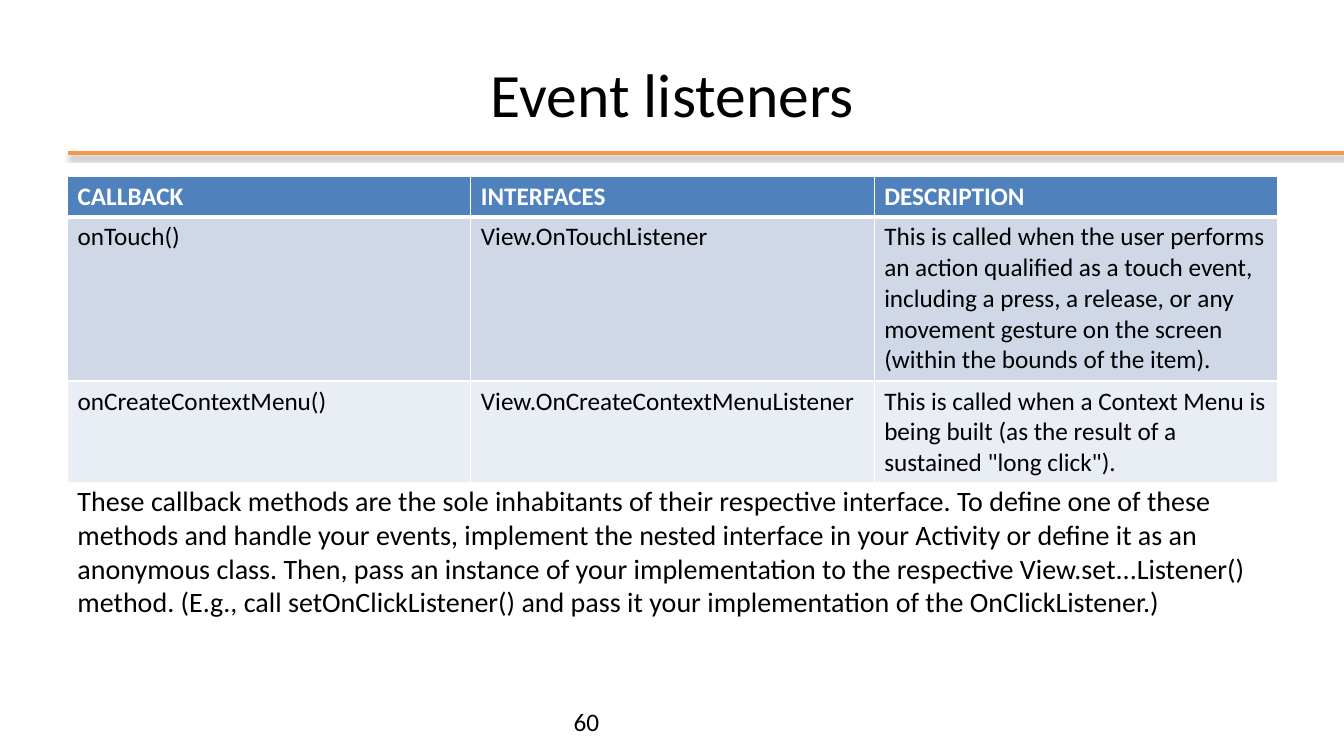
from lxml.etree import SubElement
from pptx import Presentation
from pptx.dml.color import RGBColor
from pptx.enum.shapes import MSO_CONNECTOR
from pptx.enum.text import MSO_ANCHOR, PP_ALIGN
from pptx.oxml import parse_xml
from pptx.oxml.ns import nsdecls, qn
from pptx.util import Emu, Pt

PX = 9144
ROWS = [
    ("CALLBACK", "INTERFACES", "DESCRIPTION"),
    ("onTouch()", "View.OnTouchListener",
     "This is called when the user performs an action qualified as a touch "
     "event, including a press, a release, or any movement gesture on the "
     "screen (within the bounds of the item)."),
    ("onCreateContextMenu()", "View.OnCreateContextMenuListener",
     "This is called when a Context Menu is being built (as the result of a "
     "sustained \"long click\")."),
]
NOTE = (
    "These callback methods are the sole inhabitants of their respective "
    "interface. To define one of these methods and handle your events, "
    "implement the nested interface in your Activity or define it as an "
    "anonymous class. Then, pass an instance of your implementation to the "
    "respective View.set...Listener() method. (E.g., call "
    "setOnClickListener() and pass it your implementation of the "
    "OnClickListener.)"
)


def color(code):
    return RGBColor.from_string(code)


def px(*sizes):
    return [Emu(size * PX) for size in sizes]


class Page:
    """Hold the style and the current slide, and add elements to it."""

    font = "Calibri"
    ink = "000000"
    paper = "FFFFFF"
    accent = "F79646"
    head = "4F81BD"
    bands = ("D0D8E8", "E9EDF4")

    def __init__(self, deck):
        self.slide = deck.slides.add_slide(deck.slide_layouts[6])
        fill = self.slide.background.fill
        fill.solid()
        fill.fore_color.rgb = color(self.paper)

    def put(self, frame, text, size, ink=ink, bold=False, align=PP_ALIGN.LEFT):
        frame.text = text
        for para in frame.paragraphs:
            para.alignment = align
            for run in para.runs:
                run.font.name = self.font
                run.font.size = Pt(size)
                run.font.bold = bold
                run.font.color.rgb = color(ink)

    def text(self, box, text, size, align=PP_ALIGN.LEFT, anchor=MSO_ANCHOR.TOP):
        frame = self.slide.shapes.add_textbox(*px(*box)).text_frame
        frame.word_wrap = True
        frame.vertical_anchor = anchor
        self.put(frame, text, size, align=align)

    def rule(self, left, right, top):
        line = self.slide.shapes.add_connector(
            MSO_CONNECTOR.STRAIGHT, *px(left, top, right, top))
        line.line.color.rgb = color(self.accent)
        line.line.width = Pt(3)
        line._element.spPr.append(parse_xml(
            f'<a:effectLst {nsdecls("a")}>'
            '<a:outerShdw blurRad="40000" dist="23000" dir="5400000" rotWithShape="0">'
            f'<a:srgbClr val="{self.ink}"><a:alpha val="35000"/></a:srgbClr>'
            '</a:outerShdw></a:effectLst>'))

    def edge(self, cell, widths):
        props = cell._tc.get_or_add_tcPr()
        for spot, (side, width) in enumerate(zip("LRTB", widths)):
            line = props.makeelement(qn(f"a:ln{side}"), {"w": str(Pt(width))})
            fill = SubElement(line, qn("a:solidFill"))
            SubElement(fill, qn("a:srgbClr"), val=self.paper)
            props.insert(spot, line)

    def table(self, left, top, wide, highs, rows):
        count = len(rows[0])
        box = px(left, top, wide * count, sum(highs))
        grid = self.slide.shapes.add_table(len(rows), count, *box).table
        for col in grid.columns:
            col.width = Emu(wide * PX)
        for i, (row, high) in enumerate(zip(rows, highs)):
            grid.rows[i].height = Emu(high * PX)
            first = i == 0
            tint = self.head if first else self.bands[(i - 1) % 2]
            for j, text in enumerate(row):
                cell = grid.cell(i, j)
                cell.fill.solid()
                cell.fill.fore_color.rgb = color(tint)
                ink = self.paper if first else self.ink
                self.put(cell.text_frame, text, 18, ink, first)
                self.edge(cell, (1, 1, 3 if i == 1 else 1, 3 if first else 1))


def main():
    deck = Presentation()
    deck.slide_width, deck.slide_height = px(1333, 750)
    page = Page(deck)
    page.rule(67, 1333, 152)
    page.text((67, 30, 1200, 125), "Event listeners", 44,
              PP_ALIGN.CENTER, MSO_ANCHOR.MIDDLE)
    page.text((559, 696, 707, 40), "60", 18)
    page.table(67, 175, 400, (40, 163, 101), ROWS)
    page.text((67, 475, 1200, 178), NOTE, 20)
    deck.save("out.pptx")


if __name__ == "__main__":
    main()
